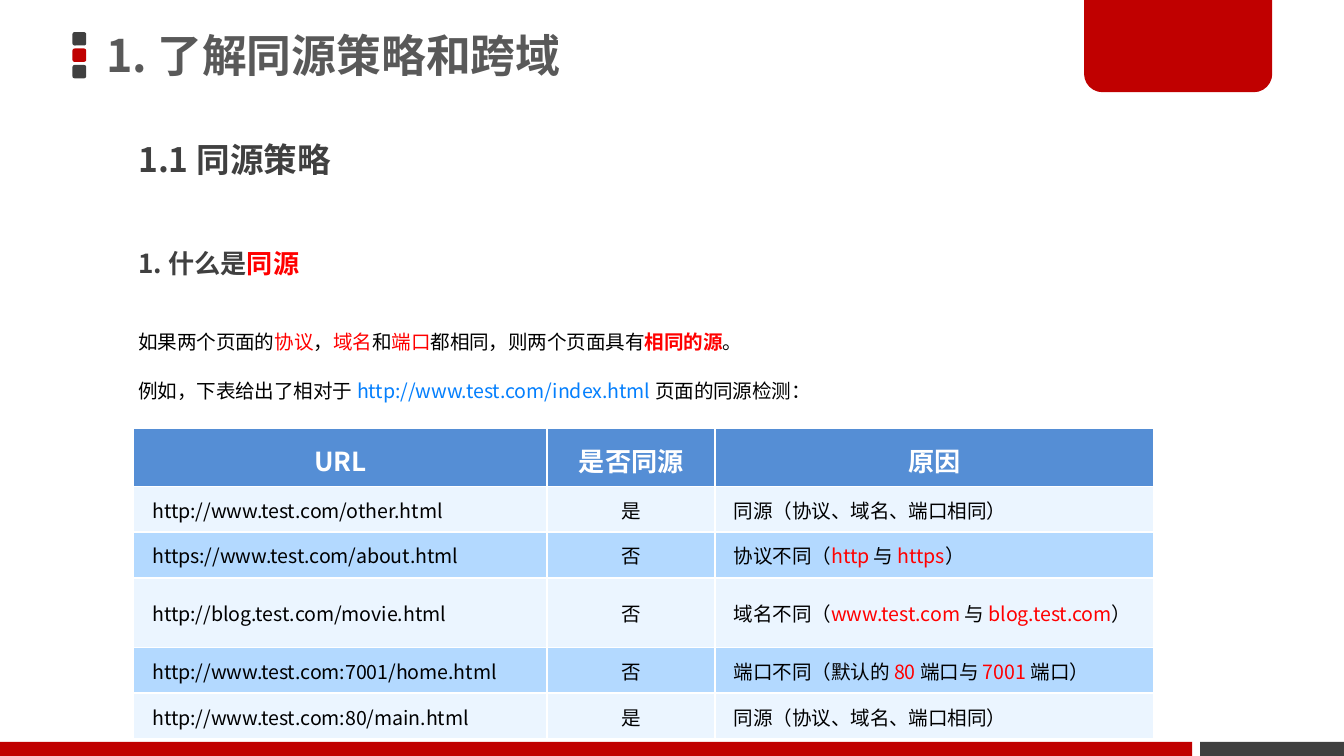
from lxml import etree
from pptx import Presentation
from pptx.dml.color import RGBColor
from pptx.enum import shapes, text
from pptx.oxml.ns import qn
from pptx.util import Pt

FONT = "Noto Sans CJK SC"
BLACK = RGBColor(0, 0, 0)
WHITE = RGBColor(0xFF, 0xFF, 0xFF)
DARK = RGBColor(0x40, 0x40, 0x40)
GREY = RGBColor(0x59, 0x59, 0x59)
CRIMSON = RGBColor(0xC0, 0, 0)
RED = RGBColor(0xFF, 0, 0)
LINK = RGBColor(0x04, 0x7F, 0xFD)
HEADER = RGBColor(0x55, 0x8E, 0xD5)
BANDS = [RGBColor(0xEB, 0xF5, 0xFF), RGBColor(0xB3, 0xD9, 0xFF)]

LEFT = text.PP_ALIGN.LEFT
CENTER = text.PP_ALIGN.CENTER
MIDDLE = text.MSO_ANCHOR.MIDDLE
SHAPE = shapes.MSO_SHAPE

COLUMNS = [("URL", 221.6), ("是否同源", 90), ("原因", 235)]
SAME = ["同源（协议、域名、端口相同）"]
ROWS = [
    ("http://www.test.com/other.html", "是", SAME),
    ("https://www.test.com/about.html", "否",
     ["协议不同（", ("http ", RED), "与 ", ("https", RED), "）"]),
    ("http://blog.test.com/movie.html", "否",
     ["域名不同（", ("www.test.com ", RED), "与 ",
      ("blog.test.com", RED), "）"]),
    ("http://www.test.com:7001/home.html", "否",
     ["端口不同（默认的 ", ("80 ", RED), "端口与 ", ("7001 ", RED), "端口）"]),
    ("http://www.test.com:80/main.html", "是", SAME),
]
HEADER_HEIGHT, ROW_HEIGHT, TALL_ROW_HEIGHT = 30.7, 24.5, 37.4
TALL_ROW = 3

INTRO = [
    ["如果两个页面的", ("协议", RED), "，", ("域名", RED), "和", ("端口", RED),
     "都相同，则两个页面具有", ("相同的源", RED, True), "。"],
    ["例如，下表给出了相对于 ", ("http://www.test.com/index.html ", LINK),
     "页面的同源检测："],
]


def write(p, runs, size, color, bold=False, align=LEFT, spacing=None, before=0):
    """Fill a paragraph; a run is a string or (string, colour[, bold])."""
    p.alignment = align
    p.line_spacing = spacing
    p.space_before = Pt(before)
    f = p.font
    f.name, f.size, f.bold = FONT, Pt(size), bold
    f.color.rgb = color
    etree.SubElement(f._element, qn("a:ea"), typeface=FONT)
    for item in runs:
        r = p.add_run()
        if isinstance(item, str):
            r.text = item
            continue
        r.text = item[0]
        r.font.color.rgb = item[1]
        if len(item) > 2:
            r.font.bold = item[2]


def add_block(s, kind, x, y, w, h, color):
    sp = s.shapes.add_shape(kind, Pt(x), Pt(y), Pt(w), Pt(h))
    sp.shadow.inherit = False
    sp.fill.solid()
    sp.fill.fore_color.rgb = color
    sp.line.fill.background()
    return sp


def add_decoration(s):
    for i, color in enumerate([DARK, CRIMSON, DARK]):
        add_block(s, SHAPE.ROUNDED_RECTANGLE, 38.8, 17.2 + 8.8 * i, 7.4, 7.2, color)
    tab = add_block(s, SHAPE.ROUND_2_SAME_RECTANGLE, 580.8, 0, 100.8, 49.4, CRIMSON)
    tab.adjustments[0], tab.adjustments[1] = 0, 0.2
    add_block(s, SHAPE.RECTANGLE, 0, 397.5, 638.7, 7.5, CRIMSON)
    add_block(s, SHAPE.RECTANGLE, 643, 397.5, 77, 7.5, DARK)


def set_title(s, runs):
    sp = s.shapes.title
    sp.left, sp.top, sp.width, sp.height = Pt(49.7), Pt(0), Pt(530.6), Pt(62.6)
    tf = sp.text_frame
    tf.vertical_anchor = MIDDLE
    write(tf.paragraphs[0], runs, 24, GREY, True, spacing=0.9)


def add_text(s, y, w, h, paragraphs, size, color, bold=False, spacing=0.9):
    tf = s.shapes.add_textbox(Pt(67), Pt(y), Pt(w), Pt(h)).text_frame
    tf.word_wrap = True
    for i, runs in enumerate(paragraphs):
        p = tf.add_paragraph() if i else tf.paragraphs[0]
        write(p, runs, size, color, bold, spacing=spacing, before=7.5)


def fill_cell(cell, color):
    cell.fill.solid()
    cell.fill.fore_color.rgb = color
    return cell.text_frame.paragraphs[0]


def add_origin_table(s):
    heights = [HEADER_HEIGHT] + [ROW_HEIGHT] * len(ROWS)
    heights[TALL_ROW] = TALL_ROW_HEIGHT
    width = sum(w for _, w in COLUMNS)
    table = s.shapes.add_table(len(heights), len(COLUMNS), Pt(71.6), Pt(229.3),
                               Pt(width), Pt(sum(heights))).table
    for row, height in zip(table.rows, heights):
        row.height = Pt(height)
    for c, (name, w) in enumerate(COLUMNS):
        table.columns[c].width = Pt(w)
        write(fill_cell(table.cell(0, c), HEADER), [name], 14, WHITE, True,
              CENTER, Pt(24))
    for i, (url, verdict, reason) in enumerate(ROWS):
        for c, runs in enumerate([[url], [verdict], reason]):
            cell = table.cell(i + 1, c)
            cell.vertical_anchor = MIDDLE
            cell.margin_left = cell.margin_right = Pt(10)
            cell.margin_top = cell.margin_bottom = Pt(5)
            write(fill_cell(cell, BANDS[i % 2]), runs, 10.5, BLACK,
                  align=CENTER if c == 1 else LEFT)


def main():
    prs = Presentation()
    prs.slide_width, prs.slide_height = Pt(720), Pt(405)
    s = prs.slides.add_slide(prs.slide_layouts[5])
    add_decoration(s)
    set_title(s, ["1. 了解同源策略和跨域"])
    add_text(s, 73.4, 513.4, 42.5, [["1.1 同源策略"]], 18, DARK, True)
    add_text(s, 167, 530.6, 77, INTRO, 10.5, BLACK, spacing=1.5)
    add_text(s, 131, 511.2, 22.3, [["1. 什么是", ("同源", RED)]], 14, DARK, True)
    add_origin_table(s)
    prs.save("out.pptx")


if __name__ == "__main__":
    main()
